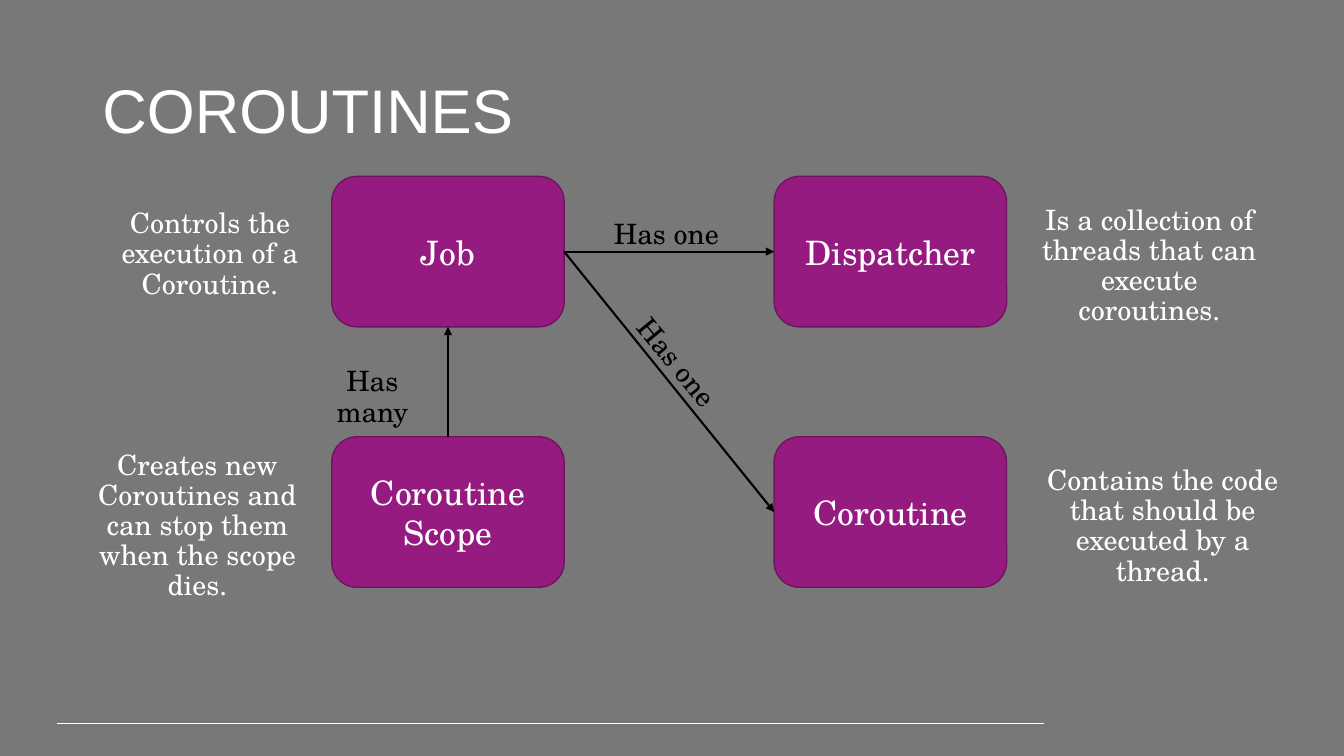
from pptx import Presentation
from pptx.dml.color import RGBColor
from pptx.enum import shapes as kinds, text as txt
from pptx.oxml.ns import qn
from pptx.util import Pt
from lxml import etree

GREY = RGBColor(0x78, 0x78, 0x78)
WHITE = RGBColor(0xFF, 0xFF, 0xFF)
BLACK = RGBColor(0, 0, 0)
PLUM = RGBColor(0x96, 0x1B, 0x81)
DARK = RGBColor(0x6F, 0x14, 0x5F)
SERIF = "TeX Gyre Schola"
SANS = "Arial"

# Connection sites of a rounded box
TOP, LEFT, BASE, RIGHT = range(4)


def add_run(para, words, size, color, font=SERIF):
    run = para.add_run()
    run.text = words
    run.font.size = Pt(size)
    run.font.name = font
    run.font.color.rgb = color


def add_title(slide, box, words):
    title = slide.shapes.title
    title.left, title.top, title.width, title.height = map(Pt, box)
    frame = title.text_frame
    frame.auto_size = txt.MSO_AUTO_SIZE.NONE
    frame.vertical_anchor = txt.MSO_ANCHOR.MIDDLE
    para = frame.paragraphs[0]
    para.alignment = txt.PP_ALIGN.LEFT
    para.line_spacing = 0.9
    add_run(para, words, 44, WHITE, SANS)


def add_node(slide, box, lines):
    node = slide.shapes.add_shape(
        kinds.MSO_SHAPE.ROUNDED_RECTANGLE, *map(Pt, box))
    node.shadow.inherit = False
    node.fill.solid()
    node.fill.fore_color.rgb = PLUM
    node.line.color.rgb = DARK
    node.line.width = Pt(1)
    frame = node.text_frame
    frame.vertical_anchor = txt.MSO_ANCHOR.MIDDLE
    for i, line in enumerate(lines):
        para = frame.add_paragraph() if i else frame.paragraphs[0]
        para.alignment = txt.PP_ALIGN.CENTER
        add_run(para, line, 24, WHITE)
    return node


def add_note(slide, box, words, color=WHITE, turn=0):
    note = slide.shapes.add_textbox(*map(Pt, box))
    note.rotation = turn
    frame = note.text_frame
    frame.word_wrap = True
    para = frame.paragraphs[0]
    para.alignment = txt.PP_ALIGN.CENTER
    para.line_spacing = 0.9
    add_run(para, words, 20, color)


def add_line(slide, ends, color, width):
    line = slide.shapes.add_connector(
        kinds.MSO_CONNECTOR.STRAIGHT, *map(Pt, ends))
    line.line.color.rgb = color
    line.line.width = Pt(width)
    etree.SubElement(line._element.spPr, qn("a:effectLst"))
    return line


def add_arrow(slide, start, exit, end, entry):
    line = add_line(slide, (0, 0, 0, 0), BLACK, 1.5)
    line.begin_connect(start, exit)
    line.end_connect(end, entry)
    etree.SubElement(line.line._get_or_add_ln(), qn("a:tailEnd"),
                     type="triangle")


def add_chart_map(slide, box):
    x, y, wide, high = box
    node_w, node_h = 166, 107.5
    right, low = x + wide - node_w, y + high - node_h

    # Boxes at the four corners
    job = add_node(slide, (x, y, node_w, node_h), ["Job"])
    pool = add_node(slide, (right, y, node_w, node_h), ["Dispatcher"])
    scope = add_node(slide, (x, low, node_w, node_h), ["Coroutine", "Scope"])
    task = add_node(slide, (right, low, node_w, node_h), ["Coroutine"])

    # Arrows between the boxes
    add_arrow(slide, job, RIGHT, pool, LEFT)
    add_arrow(slide, job, RIGHT, task, LEFT)
    add_arrow(slide, scope, TOP, job, BASE)

    # Arrow labels
    add_note(slide, (x + 191.5, y + 27.5, 95, 29), "Has one", BLACK)
    add_note(slide, (x + 198, y + 119, 95, 29), "Has one", BLACK, 50.7)
    add_note(slide, (x - 21, y + 133, 100, 54), "Has many", BLACK)

    # Notes beside the boxes
    side = x + wide + 9.5
    add_note(slide, (x - 174, y + 20, 174, 73),
             "Controls the execution of a Coroutine.")
    add_note(slide, (side, y + 17.5, 185, 94),
             "Is a collection of threads that can execute coroutines.")
    add_note(slide, (x - 192.5, low + 6.5, 193, 116),
             "Creates new Coroutines and can stop them when the scope dies.")
    add_note(slide, (side, low + 17.5, 204, 94),
             "Contains the code that should be executed by a thread.")


def main():
    deck = Presentation()
    deck.slide_width, deck.slide_height = Pt(960), Pt(540)
    slide = deck.slides.add_slide(deck.slide_layouts[5])
    slide.background.fill.solid()
    slide.background.fill.fore_color.rgb = GREY

    # Footer rule
    add_line(slide, (41, 517, 746, 517), WHITE, 0.75)
    add_title(slide, (66, 29, 828, 104.5), "COROUTINES")
    add_chart_map(slide, (237, 126, 482, 293.5))
    deck.save("out.pptx")


if __name__ == "__main__":
    main()
